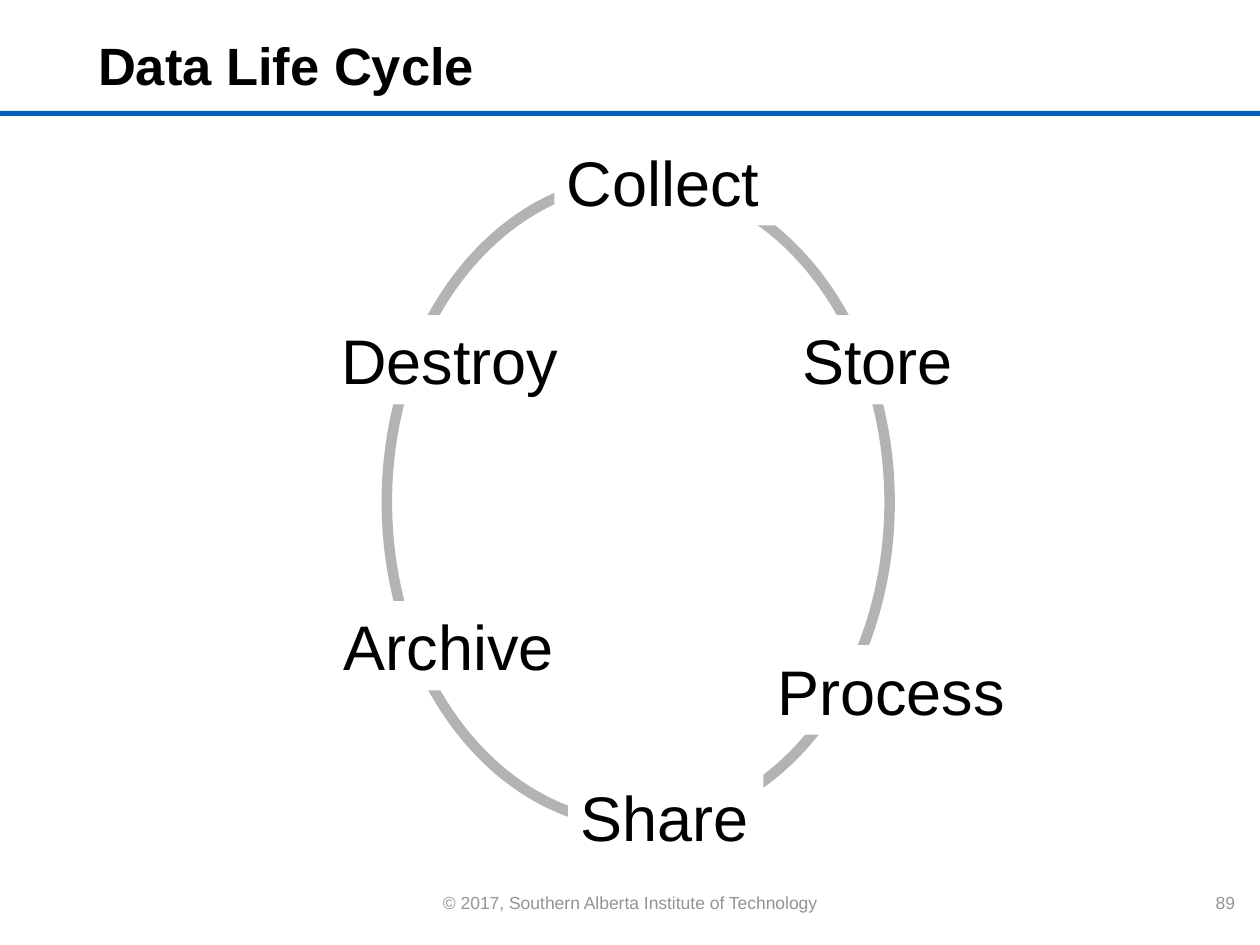
"""Build the Data Life Cycle slide."""
from pptx import Presentation
from pptx.dml.color import RGBColor
from pptx.enum.shapes import MSO_SHAPE
from pptx.enum.text import MSO_ANCHOR, PP_ALIGN
from pptx.util import Inches, Pt

RECT, OVAL = MSO_SHAPE.RECTANGLE, MSO_SHAPE.OVAL
MIDDLE = MSO_ANCHOR.MIDDLE
LEFT, CENTER, RIGHT = PP_ALIGN.LEFT, PP_ALIGN.CENTER, PP_ALIGN.RIGHT
BLUE = RGBColor(0x00, 0x5E, 0xB8)
BLACK = RGBColor(0x00, 0x00, 0x00)
WHITE = RGBColor(0xFF, 0xFF, 0xFF)
RING_GRAY = RGBColor(0xB3, 0xB3, 0xB3)
FOOTER_GRAY = RGBColor(0x94, 0x94, 0x94)

prs = Presentation()
prs.slide_width, prs.slide_height = Inches(10), Inches(7.5)
s = prs.slides.add_slide(prs.slide_layouts[6])


def add_shape(kind, x, y, w, h, fill=None):
    sp = s.shapes.add_shape(kind, Inches(x), Inches(y), Inches(w), Inches(h))
    sp.shadow.inherit = False
    sp.line.fill.background()
    if fill is None:
        sp.fill.background()
    else:
        sp.fill.solid()
        sp.fill.fore_color.rgb = fill
    return sp


def set_text(sp, text, size, color=BLACK, align=LEFT, bold=False, wrap=True):
    tf = sp.text_frame
    tf.word_wrap = wrap
    tf.vertical_anchor = MIDDLE
    p = tf.paragraphs[0]
    p.text = text
    p.alignment = align
    p.font.name = "Arial"
    p.font.size = Pt(size)
    p.font.bold = bold
    p.font.color.rgb = color


add_shape(RECT, 0, 0.88, 10, 0.04, BLUE)

for text, x, y, w, h, size, color, align, bold in [
    ("© 2017, Southern Alberta Institute of Technology",
     3.32, 7.03, 3.36, 0.27, 10, FOOTER_GRAY, CENTER, False),
    ("89", 9.5, 7.03, 0.4, 0.27, 10, FOOTER_GRAY, RIGHT, False),
    ("Data Life Cycle", 0.68, 0.17, 7.32, 0.69, 30, BLACK, LEFT, True),
]:
    sp = s.shapes.add_textbox(Inches(x), Inches(y), Inches(w), Inches(h))
    set_text(sp, text, size, color, align, bold)

ring = add_shape(OVAL, 3.07, 1.43, 3.99, 5.11)
ring.line.color.rgb = RING_GRAY
ring.line.width = Pt(6)

for stage, x, y, w in [
    ("Collect", 4.4, 1.08, 1.75),
    ("Store", 6.27, 2.5, 1.41),
    ("Destroy", 2.61, 2.5, 1.94),
    ("Process", 6.07, 5.12, 2.03),
    ("Archive", 2.63, 4.77, 1.9),
    ("Share", 4.51, 6.12, 1.55),
]:
    set_text(add_shape(RECT, x, y, w, 0.71, WHITE), stage, 36, wrap=False)

prs.save("out.pptx")
